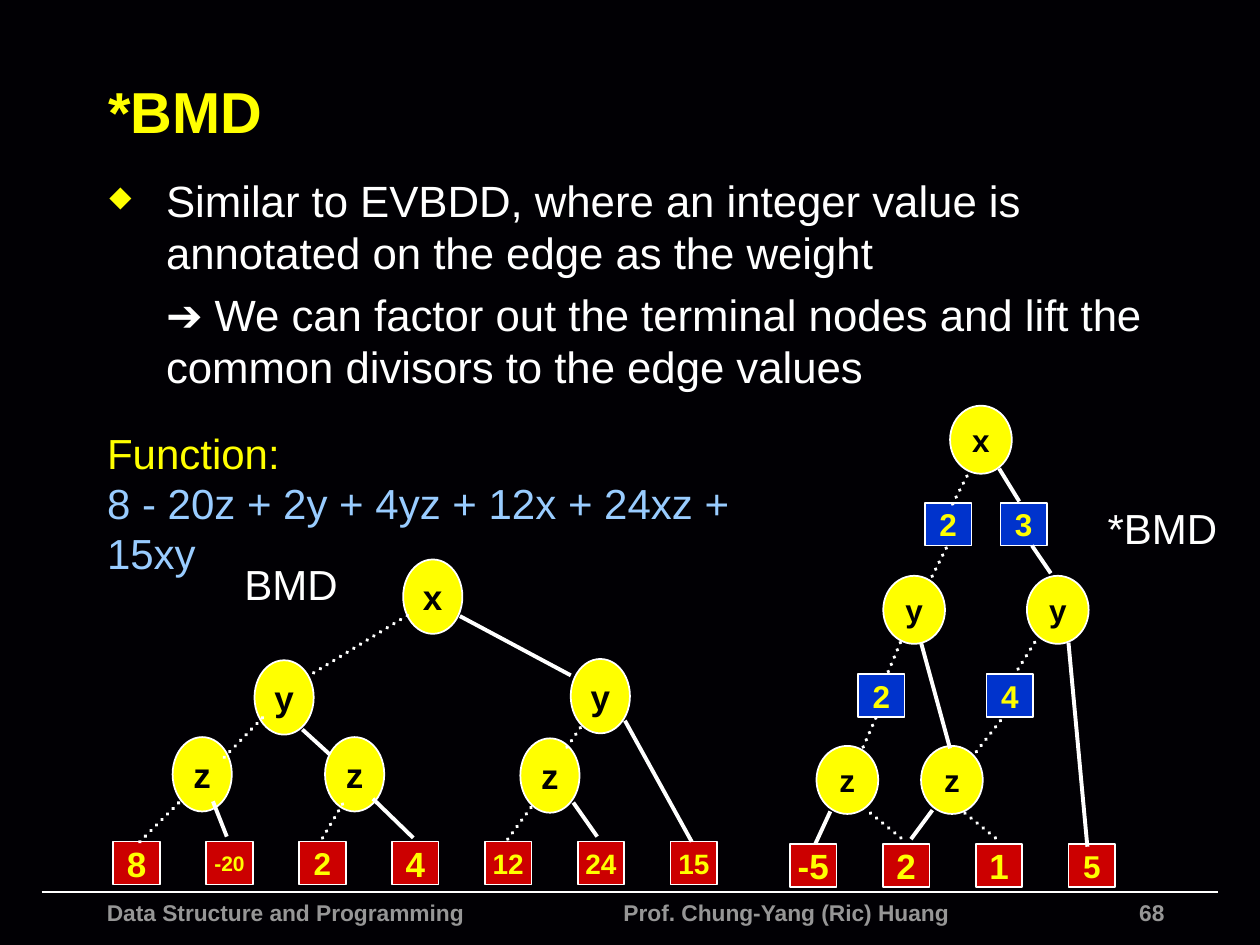
from collections import namedtuple
from dataclasses import dataclass

from lxml import etree
from pptx import Presentation, util as u
from pptx.dml.color import RGBColor
from pptx.enum import dml, shapes, text
from pptx.oxml.ns import qn

Box = namedtuple("Box", "x y w h")
SHAPE, ALIGN, ANCHOR = shapes.MSO_SHAPE, text.PP_ALIGN, text.MSO_ANCHOR


@dataclass(frozen=True)
class Theme:
    """Colours, type sizes and the grid cell in inches."""
    font: str = "Arial"
    back: str = "010004"
    ink: str = "FFFFFF"
    accent: str = "FFFF00"
    formula: str = "99CCFF"
    muted: str = "969696"
    node_ink: str = "000000"
    leaf: str = "CC0000"
    weight: str = "0033CC"
    title: int = 33
    body: int = 25
    label: int = 24
    weight_size: int = 18
    footer: int = 13
    thin: float = 1
    edge: float = 2.25
    cell: float = 0.1


T = Theme()


def rgb(value):
    """Turn a hex string into a colour."""
    return RGBColor.from_string(value)


def cells(*values):
    """Convert grid cells to slide lengths."""
    return [u.Inches(v * T.cell) for v in values]


def within(box, x, y, w, h):
    """Return a box placed relative to another box."""
    return Box(box.x + x, box.y + y, w, h)


def style(p, size, color, bold=False, align=ALIGN.LEFT):
    """Set the font and alignment of a paragraph."""
    p.alignment = align
    f = p.font
    f.name, f.size, f.bold = T.font, u.Pt(size), bold
    f.color.rgb = rgb(color)


def frame(tf, side=0.1, anchor=ANCHOR.TOP, wrap=True):
    """Set the margins, anchor and wrapping of a text frame."""
    tf.margin_left = tf.margin_right = u.Inches(side)
    tf.margin_top = tf.margin_bottom = u.Inches(0.05)
    tf.vertical_anchor, tf.word_wrap = anchor, wrap


def add_text(s, box, lines, size, color, bold=False, align=ALIGN.LEFT, **layout):
    """Add a text box with one paragraph per line and return its paragraphs."""
    tf = s.shapes.add_textbox(*cells(*box)).text_frame
    frame(tf, **layout)
    for i, line in enumerate(lines):
        p = tf.paragraphs[0] if i == 0 else tf.add_paragraph()
        p.text = line
        style(p, size, color, bold, align)
    return tf.paragraphs


def add_line(s, box, ends, width, dotted=False):
    """Draw a straight line between two points of a box."""
    x1, y1, x2, y2 = ends
    c = s.shapes.add_connector(
        shapes.MSO_CONNECTOR.STRAIGHT,
        *cells(box.x + x1, box.y + y1, box.x + x2, box.y + y2))
    c.line.color.rgb, c.line.width = rgb(T.ink), u.Pt(width)
    if dotted:
        c.line.dash_style = dml.MSO_LINE.ROUND_DOT
        c._element.spPr.find(qn("a:ln")).set("cap", "rnd")
    etree.SubElement(c._element.spPr, qn("a:effectLst"))


def add_node(s, box, kind, fill, label, size, color):
    """Draw one labelled diagram node."""
    sp = s.shapes.add_shape(kind, *cells(*box))
    sp.shadow.inherit = False
    sp.fill.solid()
    sp.fill.fore_color.rgb = rgb(fill)
    sp.line.color.rgb, sp.line.width = rgb(T.ink), u.Pt(T.thin)
    frame(sp.text_frame, 0.05, ANCHOR.MIDDLE, False)
    p = sp.text_frame.paragraphs[0]
    p.text = label
    style(p, size, color, True, ALIGN.CENTER)


def diagram(s, box, name, label_at, node_size, node_type, nodes, weights,
            leaves, leaf_top, solid, dotted):
    """Draw a decision diagram with its nodes, weights, leaves and edges."""
    square, pitch = (3.7, 3.4), 7.37
    for label, x, y in nodes:
        add_node(s, within(box, x, y, *node_size), SHAPE.OVAL, T.accent,
                 label, node_type, T.node_ink)
    for label, x, y in weights:
        add_node(s, within(box, x, y, *square), SHAPE.RECTANGLE, T.weight,
                 label, T.weight_size, T.accent)
    for i, (label, size) in enumerate(leaves):
        add_node(s, within(box, i * pitch, leaf_top, *square), SHAPE.RECTANGLE,
                 T.leaf, label, size, T.accent)
    for edges, is_dotted in ((solid, False), (dotted, True)):
        for ends in edges:
            add_line(s, box, ends, T.edge, is_dotted)
    add_text(s, within(box, *label_at), [name], T.label, T.ink,
             align=ALIGN.CENTER, side=0.05, wrap=False)


def heading(s, box):
    """Place the title and the two body paragraphs."""
    add_text(s, within(box, 0.4, 0, 88.4, 10.1), ["*BMD"], T.title, T.accent,
             True, anchor=ANCHOR.MIDDLE)
    body = add_text(s, within(box, 0, 9.6, 85, 19), [
        "Similar to EVBDD, where an integer value is annotated on the edge as the weight",
        "\u2794 We can factor out the terminal nodes and lift the common divisors "
        "to the edge values"], T.body, T.ink)
    for p, indent in zip(body, (-0.45, 0)):
        p.space_before = u.Pt(5)
        pPr = p._p.get_or_add_pPr()
        pPr.set("marL", str(u.Inches(0.5)))
        pPr.set("indent", str(u.Inches(indent)))
        if indent:
            color = etree.Element(qn("a:buClr"))
            etree.SubElement(color, qn("a:srgbClr"), val=T.accent)
            size = etree.Element(qn("a:buSzPct"), val="66000")
            mark = etree.Element(qn("a:buChar"), char="\u25c6")
            at = list(pPr).index(pPr.find(qn("a:defRPr")))
            pPr[at:at] = [color, size, mark]


def formula(s, box):
    """Place the function and its caption."""
    lines = add_text(s, box, ["Function:", "8 - 20z + 2y + 4yz + 12x + 24xz + 15xy"],
                     T.label, T.accent, side=0.05)
    lines[1].font.color.rgb = rgb(T.formula)


def footer(s, box):
    """Place the rule, the course line and the page number."""
    add_line(s, box, (0, 0, box.w, 0), T.thin)
    p = add_text(s, within(box, 4.2, 0, 72.4, 4.2),
                 ["Data Structure and Programming\tProf. Chung-Yang (Ric) Huang"],
                 T.footer, T.muted, True)[0]
    pPr = p._p.get_or_add_pPr()
    tabs = etree.Element(qn("a:tabLst"))
    etree.SubElement(tabs, qn("a:tab"), pos=str(u.Inches(4.1)), algn="l")
    pPr.find(qn("a:defRPr")).addprevious(tabs)
    add_text(s, within(box, 58.4, 0, 31.7, 1.8), ["68"], T.footer, T.muted,
             True, ALIGN.RIGHT)


prs = Presentation()
prs.slide_width, prs.slide_height = cells(100, 75)
s = prs.slides.add_slide(prs.slide_layouts[6])
s.background.fill.solid()
s.background.fill.fore_color.rgb = rgb(T.back)

footer(s, Box(3.3, 70.8, 93.4, 4.2))
heading(s, Box(7.2, 3.7, 88.8, 28.6))
diagram(
    s, Box(9, 43.8, 47.9, 26.4), "BMD", (8.9, 0, 10.4, 5), (4.7, 5.9), 20,
    nodes=[("x", 23, 0.6), ("y", 11.2, 8.6), ("y", 36.3, 8.5),
           ("z", 4.7, 14.7), ("z", 16.8, 14.7), ("z", 32.3, 14.8)],
    weights=[],
    leaves=[("8", 20), ("-20", 12), ("2", 18), ("4", 20), ("12", 16), ("24", 16), ("15", 16)],
    leaf_top=23,
    solid=[(15, 14.1, 17.2, 16.1), (7.9, 19.8, 9, 22.6), (20.6, 19.6, 23.8, 22.7),
           (27.5, 5.1, 36.3, 9.8), (36.5, 19.9, 38.4, 22.6), (40.6, 13.4, 45.9, 23)],
    dotted=[(2.1, 23, 5.6, 19.5), (8.8, 16.3, 12.2, 12.8), (16.6, 22.7, 18.2, 20),
            (15.9, 9.6, 23.4, 5), (36, 15.5, 37.3, 13.6), (31.3, 22.8, 33.5, 19.8)])
formula(s, Box(8, 33.4, 58.3, 9))
diagram(
    s, Box(62.7, 32.2, 34.4, 38.2), "*BMD", (23.7, 7.2, 11.7, 5), (4.9, 5.4), 18,
    nodes=[("x", 12.7, 0), ("y", 7.4, 13.5), ("y", 18.8, 13.5),
           ("z", 2.1, 27), ("z", 10.4, 27)],
    weights=[("2", 10.7, 7.7), ("3", 16.7, 7.7), ("2", 5.4, 21.3), ("4", 15.6, 21.3)],
    leaves=[("-5", 20), ("2", 20), ("1", 20), ("5", 18)],
    leaf_top=34.8,
    solid=[(3.2, 32.2, 2, 34.8), (11.3, 32.1, 9.6, 34.4), (10.4, 18.8, 12.7, 27.2),
           (22.1, 18.8, 23.6, 35), (16.6, 5, 18.2, 7.6), (20.7, 13.3, 19.2, 11.1)],
    dotted=[(12.9, 7.8, 14.3, 5.1), (8.8, 34.3, 6.1, 32.1), (6.8, 24.8, 5.8, 27.1),
            (7.8, 21.1, 8.8, 18.7), (12.4, 11.3, 11.1, 13.9), (16.3, 34.3, 13.6, 32.1),
            (16.7, 25, 14.6, 27.7), (18.1, 20.9, 19.6, 18.5)])
prs.save("out.pptx")
